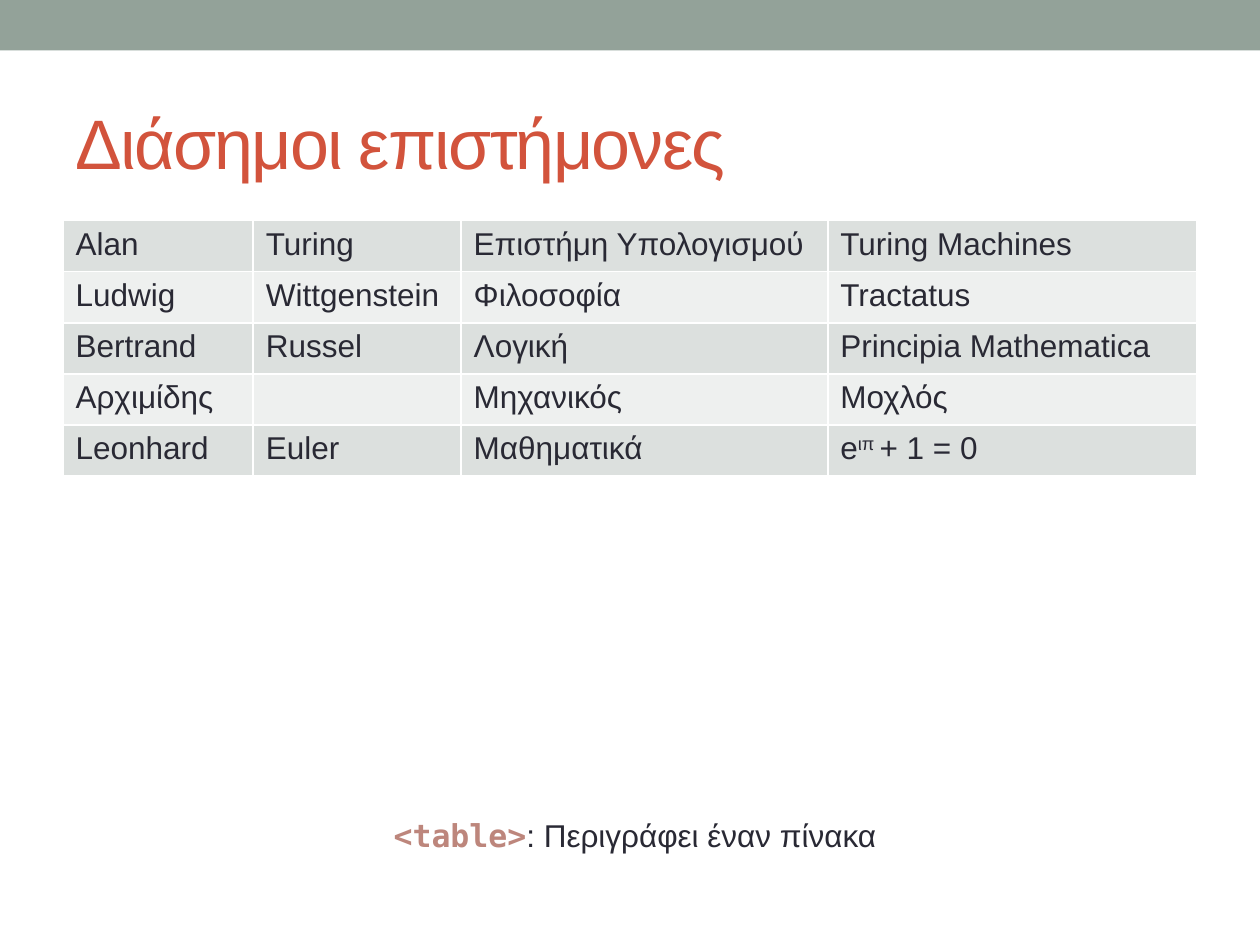
from lxml import etree
from pptx import Presentation
from pptx.dml.color import RGBColor
from pptx.enum import shapes, text
from pptx.oxml import ns
from pptx.util import Inches, Pt

COLORS = {
    "band": "93A299",
    "title": "D2533C",
    "text": "292934",
    "tag": "BD867C",
    "odd_row": "DCE0DE",
    "even_row": "EEF0EF",
    "border": "FFFFFF",
}
BODY_FONT = "Arial"
CODE_FONT = "DejaVu Sans Mono"

COLUMN_WIDTHS = [1.51, 1.65, 2.91, 2.93]
# A cell is a list of (text, is_superscript) parts where it is not plain text.
EULER_IDENTITY = [("e", False), ("ιπ ", True), ("+ 1 = 0", False)]
SCIENTISTS = [
    ["Alan", "Turing", "Επιστήμη Υπολογισμού", "Turing Machines"],
    ["Ludwig", "Wittgenstein", "Φιλοσοφία", "Tractatus"],
    ["Bertrand", "Russel", "Λογική", "Principia Mathematica"],
    ["Αρχιμίδης", "", "Μηχανικός", "Μοχλός"],
    ["Leonhard", "Euler", "Μαθηματικά", EULER_IDENTITY],
]


def rgb(name):
    return RGBColor.from_string(COLORS[name])


def set_font(font, size, color, name=BODY_FONT, bold=False):
    font.size, font.name, font.bold = Pt(size), name, bold
    font.color.rgb = rgb(color)


def add_run(p, content):
    r = p.add_run()
    r.text = content
    return r


def place(shape, box):
    shape.left, shape.top, shape.width, shape.height = map(Inches, box)


def set_borders(cell, color, width):
    """Draw all four sides of a cell; borders must come before its fill."""
    tcPr = cell._tc.get_or_add_tcPr()
    for i, side in enumerate(("lnL", "lnR", "lnT", "lnB")):
        ln = etree.Element(ns.qn("a:" + side), w=str(Pt(width)))
        fill = etree.SubElement(ln, ns.qn("a:solidFill"))
        etree.SubElement(fill, ns.qn("a:srgbClr"), val=COLORS[color])
        tcPr.insert(i, ln)


def add_band(s, box):
    band = s.shapes.add_shape(shapes.MSO_SHAPE.RECTANGLE, *map(Inches, box))
    band.shadow.inherit = False
    band.fill.solid()
    band.fill.fore_color.rgb = rgb("band")
    band.line.fill.background()


def set_title(s, box, content):
    title = s.shapes.title
    place(title, box)
    tf = title.text_frame
    tf.auto_size = text.MSO_AUTO_SIZE.NONE
    tf.vertical_anchor = text.MSO_ANCHOR.MIDDLE
    p = tf.paragraphs[0]
    p.alignment = text.PP_ALIGN.LEFT
    set_font(p.font, 40, "title")
    r = add_run(p, content)
    r._r.get_or_add_rPr().set("spc", "-100")


def fill_cell(cell, content, fill):
    cell.fill.solid()
    cell.fill.fore_color.rgb = rgb(fill)
    set_borders(cell, "border", 1)
    p = cell.text_frame.paragraphs[0]
    set_font(p.font, 18, "text")
    parts = [(content, False)] if isinstance(content, str) else content
    for part, superscript in parts:
        if part:
            r = add_run(p, part)
            if superscript:
                r._r.get_or_add_rPr().set("baseline", "30000")


def add_scientists(s, box):
    frame = s.shapes.add_table(len(SCIENTISTS), len(COLUMN_WIDTHS), *map(Inches, box))
    table = frame.table
    table.first_row = table.horz_banding = False
    for column, width in zip(table.columns, COLUMN_WIDTHS):
        column.width = Inches(width)
    for i, row in enumerate(SCIENTISTS):
        for j, content in enumerate(row):
            fill_cell(table.cell(i, j), content, "even_row" if i % 2 else "odd_row")


def add_caption(s, box, tag, meaning):
    tf = s.shapes.add_textbox(*map(Inches, box)).text_frame
    tf.word_wrap = True
    tf.auto_size = text.MSO_AUTO_SIZE.SHAPE_TO_FIT_TEXT
    p = tf.paragraphs[0]
    p.alignment = text.PP_ALIGN.CENTER
    set_font(add_run(p, tag).font, 18, "tag", CODE_FONT, bold=True)
    set_font(add_run(p, meaning).font, 18, "text")


def main():
    prs = Presentation()
    prs.slide_width, prs.slide_height = Inches(10), Inches(7.5)
    s = prs.slides.add_slide(prs.slide_layouts[5])
    add_band(s, (0, 0, 10, 0.4))
    set_title(s, (0.5, 0.58, 9, 1.08), "Διάσημοι επιστήμονες")
    add_scientists(s, (0.5, 1.75, 9, 2.03))
    add_caption(s, (0.51, 6.43, 9.06, 0.4), "<table>", ": Περιγράφει έναν πίνακα")
    prs.save("out.pptx")


if __name__ == "__main__":
    main()
